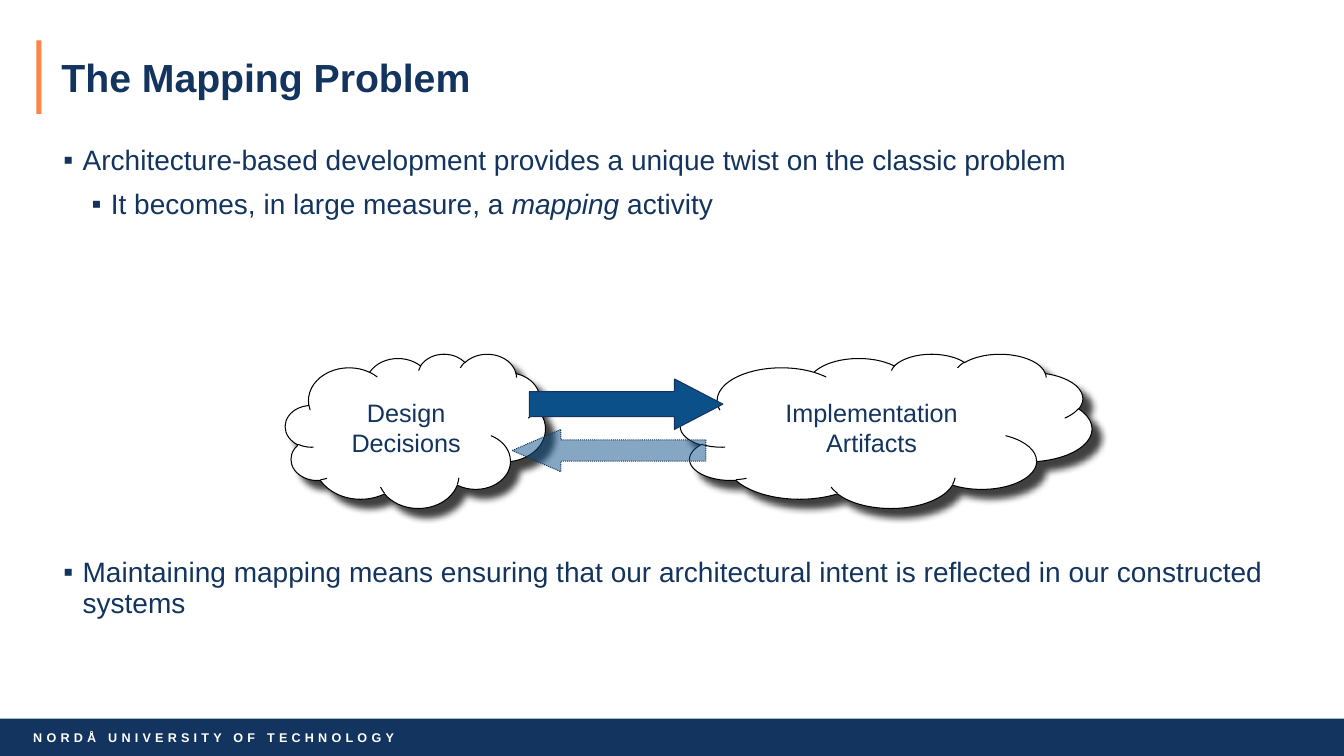
from dataclasses import dataclass
from typing import Optional

import lxml.etree
import pptx
import pptx.dml.color
import pptx.enum.dml
import pptx.enum.shapes
import pptx.enum.text
import pptx.oxml.ns
import pptx.util

RGB = pptx.dml.color.RGBColor
SHAPE = pptx.enum.shapes.MSO_SHAPE
ALIGN = pptx.enum.text.PP_ALIGN
ANCHOR = pptx.enum.text.MSO_ANCHOR
DASH = pptx.enum.dml.MSO_LINE
Pt = pptx.util.Pt

NAVY = RGB(0x13, 0x34, 0x5E)
ORANGE = RGB(0xFF, 0x82, 0x47)
BLUE = RGB(0x0C, 0x50, 0x89)
WHITE = RGB(0xFF, 0xFF, 0xFF)
BLACK = RGB(0, 0, 0)
FONT = "Arial"
EMU_PER_PX = 9144  # 100 px to the inch


@dataclass(frozen=True)
class Box:
    x: int
    y: int
    w: int
    h: int


@dataclass(frozen=True)
class Cloud:
    box: Box
    lines: tuple[str, str]


@dataclass(frozen=True)
class Arrow:
    box: Box
    kind: SHAPE
    head: float
    alpha: int = 100
    dash: Optional[DASH] = None


@dataclass(frozen=True)
class Bullet:
    runs: tuple[tuple[str, bool], ...]  # text, italic
    level: int
    indent: int
    before: float
    after: float


CLOUDS = (
    Cloud(Box(283, 351, 258, 153), ("Design", "Decisions")),
    Cloud(Box(675, 351, 408, 153), ("Implementation", "Artifacts")),
)
ARROWS = (
    Arrow(Box(525, 376, 192, 50), SHAPE.RIGHT_ARROW, 0.96),
    Arrow(Box(508, 426, 192, 42), SHAPE.LEFT_ARROW, 1.15, 50, DASH.ROUND_DOT),
)
BULLETS = (
    Bullet((("Architecture-based development provides a unique twist on the classic problem", False),),
           0, 21, 18, 5),
    Bullet((("It becomes, in large measure, a ", False), ("mapping ", True), ("activity", False)),
           1, 49, 5, 5),
    # The wide gap leaves room for the diagram
    Bullet((("Maintaining mapping means ensuring that our architectural intent is reflected "
             "in our constructed systems", False),), 0, 21, 236.5, 5),
)


def px(n: int) -> pptx.util.Emu:
    return pptx.util.Emu(n * EMU_PER_PX)


def place(box: Box) -> tuple:
    return px(box.x), px(box.y), px(box.w), px(box.h)


def sub(parent, tag: str, **attrs: str):
    el = lxml.etree.SubElement(parent, pptx.oxml.ns.qn(tag))
    for name, value in attrs.items():
        el.set(name, value)
    return el


def add_run(p, text: str, size: int, color: RGB = NAVY, bold: bool = False, italic: bool = False):
    r = p.add_run()
    r.text = text
    r.font.name, r.font.size = FONT, Pt(size)
    r.font.bold, r.font.italic = bold, italic
    r.font.color.rgb = color
    return r


def add_shape(s, kind: SHAPE, box: Box, fill: RGB, line: Optional[RGB] = None):
    sp = s.shapes.add_shape(kind, *place(box))
    sp.shadow.inherit = False
    sp.fill.solid()
    sp.fill.fore_color.rgb = fill
    if line is None:
        sp.line.fill.background()
    else:
        sp.line.color.rgb = line
        sp.line.width = Pt(0.75)
    return sp


def add_text_box(s, box: Box, anchor: ANCHOR):
    tf = s.shapes.add_textbox(*place(box)).text_frame
    tf.word_wrap = True
    tf.vertical_anchor = anchor
    tf.margin_left = 0
    return tf


def add_cloud(s, cloud: Cloud) -> None:
    sp = add_shape(s, SHAPE.CLOUD, cloud.box, WHITE, BLACK)
    effects = sp._element.spPr.find(pptx.oxml.ns.qn("a:effectLst"))
    shadow = sub(effects, "a:outerShdw", blurRad=str(Pt(5)), dist=str(Pt(8.5)),
                 dir="2700000", algn="ctr", rotWithShape="0")
    sub(sub(shadow, "a:srgbClr", val=str(BLACK)), "a:alpha", val="75000")
    tf = sp.text_frame
    tf.vertical_anchor = ANCHOR.MIDDLE
    p = tf.paragraphs[0]
    p.alignment = ALIGN.CENTER
    for i, line in enumerate(cloud.lines):
        if i:
            p.add_line_break()
        add_run(p, line, 18)


def add_arrow(s, arrow: Arrow) -> None:
    sp = add_shape(s, arrow.kind, arrow.box, BLUE, NAVY)
    sp.adjustments[0], sp.adjustments[1] = 0.5, arrow.head
    if arrow.dash is not None:
        sp.line.dash_style = arrow.dash
    if arrow.alpha < 100:
        color = sp._element.spPr.find(".//" + pptx.oxml.ns.qn("a:srgbClr"))
        sub(color, "a:alpha", val=str(arrow.alpha * 1000))


def add_bullet(p, bullet: Bullet) -> None:
    p.level = bullet.level
    p.line_spacing = 0.9
    p.space_before, p.space_after = Pt(bullet.before), Pt(bullet.after)
    pPr = p._p.get_or_add_pPr()
    pPr.set("marL", str(px(bullet.indent)))
    pPr.set("indent", str(px(-19)))
    sub(pPr, "a:buFont", typeface=FONT)
    sub(pPr, "a:buChar", char="▪")
    for text, italic in bullet.runs:
        add_run(p, text, 20, italic=italic)


def main() -> None:
    prs = pptx.Presentation()
    prs.slide_width, prs.slide_height = px(1333), px(750)
    s = prs.slides.add_slide(prs.slide_layouts[6])

    # Footer band and title accent
    footer = add_shape(s, SHAPE.RECTANGLE, Box(0, 713, 1333, 37), NAVY)
    tf = footer.text_frame
    tf.margin_left = px(33)
    tf.vertical_anchor = ANCHOR.MIDDLE
    p = tf.paragraphs[0]
    p.alignment = ALIGN.LEFT
    r = add_run(p, "NORDÅ UNIVERSITY OF TECHNOLOGY", 9, WHITE, bold=True)
    r.font._element.set("spc", "300")
    add_shape(s, SHAPE.RECTANGLE, Box(36, 40, 5, 73), ORANGE)

    # Title
    p = add_text_box(s, Box(61, 28, 999, 102), ANCHOR.MIDDLE).paragraphs[0]
    p.line_spacing = 0.9
    add_run(p, "The Mapping Problem", 28, bold=True)

    # Bullets
    tf = add_text_box(s, Box(61, 140, 1212, 542), ANCHOR.TOP)
    for i, bullet in enumerate(BULLETS):
        add_bullet(tf.add_paragraph() if i else tf.paragraphs[0], bullet)

    # Mapping diagram
    for cloud in CLOUDS:
        add_cloud(s, cloud)
    for arrow in ARROWS:
        add_arrow(s, arrow)

    prs.save("out.pptx")


if __name__ == "__main__":
    main()
